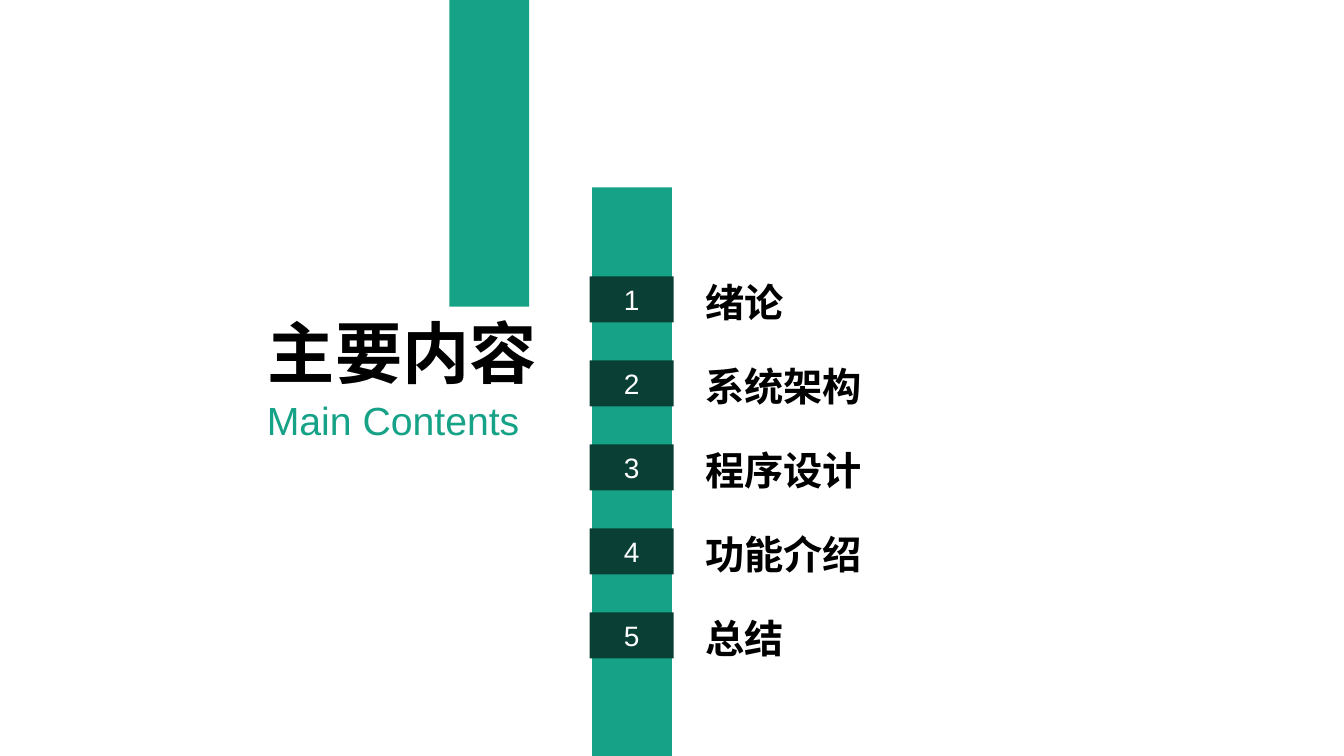
import dataclasses

import lxml.etree
import pptx
import pptx.dml.color
import pptx.enum.shapes
import pptx.enum.text
import pptx.oxml.ns
import pptx.util

Align = pptx.enum.text.PP_ALIGN
Anchor = pptx.enum.text.MSO_ANCHOR


@dataclasses.dataclass(frozen=True)
class Theme:
    green: str = "16A287"
    dark: str = "093F35"
    black: str = "000000"
    white: str = "FFFFFF"
    latin: str = "Arial"
    chinese: str = "Noto Sans CJK SC"
    title: int = 48
    heading: int = 28
    number: int = 20


THEME = Theme()
WIDTH, HEIGHT = pptx.util.Inches(13.33), pptx.util.Inches(7.5)
COLUMNS, ROWS = 16, 9
TOPICS = ["绪论", "系统架构", "程序设计", "功能介绍", "总结"]


def place(left, top, width, height):
    column, row = WIDTH / COLUMNS, HEIGHT / ROWS
    return [round(size) for size in (left * column, top * row, width * column, height * row)]


def color(value):
    return pptx.dml.color.RGBColor.from_string(value)


def add_block(page, area, fill):
    block = page.shapes.add_shape(pptx.enum.shapes.MSO_SHAPE.RECTANGLE, *place(*area))
    block.shadow.inherit = False
    block.fill.solid()
    block.fill.fore_color.rgb = color(fill)
    block.line.fill.background()
    return block


def write(box, text, size, font, ink, align, bold=False):
    para = box.text_frame.paragraphs[0]
    para.alignment = align
    span = para.add_run()
    span.text = text
    span.font.size = pptx.util.Pt(size)
    span.font.bold = bold
    span.font.name = font
    span.font.color.rgb = color(ink)
    east_asian = lxml.etree.SubElement(span.font._element, pptx.oxml.ns.qn("a:ea"))
    east_asian.set("typeface", font)


def add_label(page, area, text, size, font, ink, align, bold=False):
    box = page.shapes.add_textbox(*place(*area))
    box.text_frame.word_wrap = True
    box.text_frame.auto_size = pptx.enum.text.MSO_AUTO_SIZE.SHAPE_TO_FIT_TEXT
    write(box, text, size, font, ink, align, bold)


def add_topic(page, index, text):
    badge = add_block(page, (7.02, 3.29 + index, 1, 0.55), THEME.dark)
    badge.text_frame.vertical_anchor = Anchor.MIDDLE
    write(badge, str(index + 1), THEME.number, THEME.latin, THEME.white, Align.CENTER)
    add_label(page, (8.28, 3.25 + index, 3.92, 0.68), text,
              THEME.heading, THEME.chinese, THEME.black, Align.LEFT, bold=True)


def main():
    deck = pptx.Presentation()
    deck.slide_width, deck.slide_height = WIDTH, HEIGHT
    page = deck.slides.add_slide(deck.slide_layouts[6])

    add_block(page, (5.35, 0, 0.95, 3.65), THEME.green)
    add_block(page, (7.05, 2.23, 0.95, ROWS - 2.23), THEME.green)
    add_label(page, (2.93, 3.65, 3.72, 1.09), "主要内容",
              THEME.title, THEME.chinese, THEME.black, Align.CENTER, bold=True)
    add_label(page, (2.22, 4.66, 4.08, 0.68), "Main Contents",
              THEME.heading, THEME.latin, THEME.green, Align.RIGHT)
    for index, text in enumerate(TOPICS):
        add_topic(page, index, text)

    deck.save("out.pptx")


if __name__ == "__main__":
    main()
